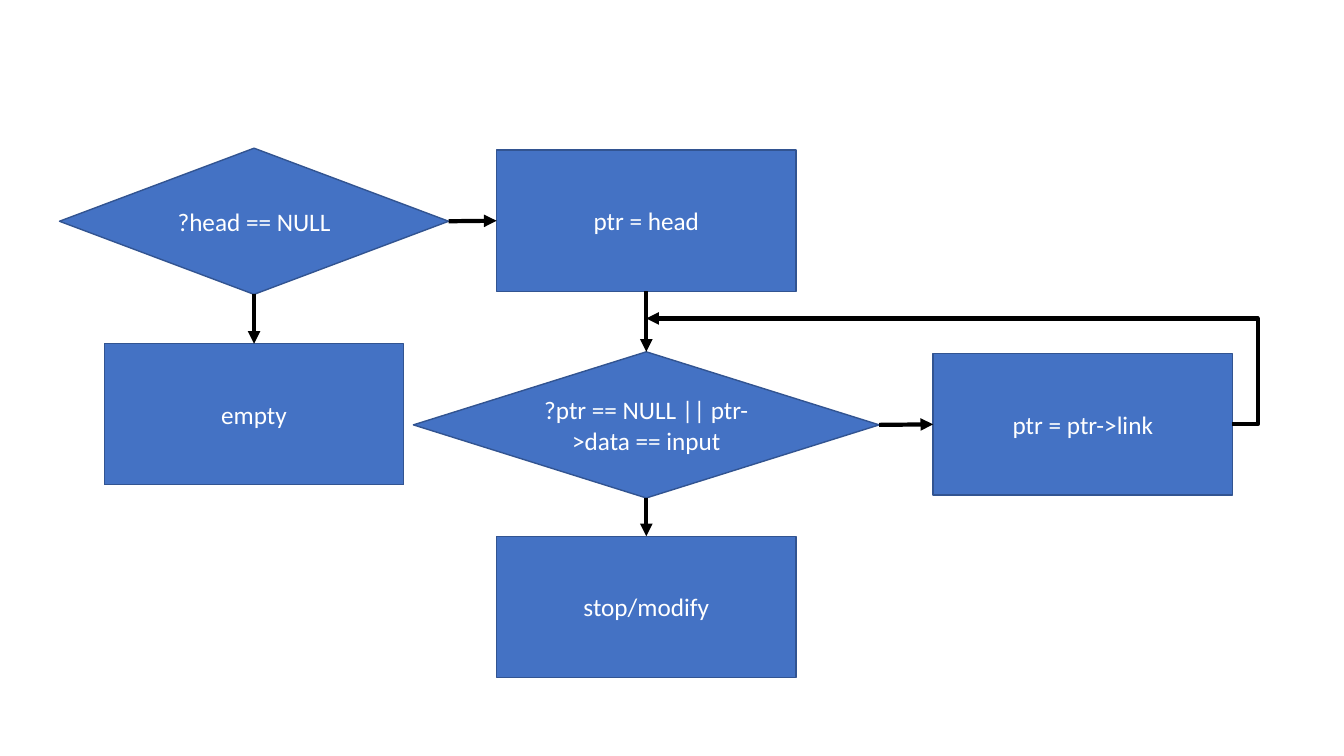
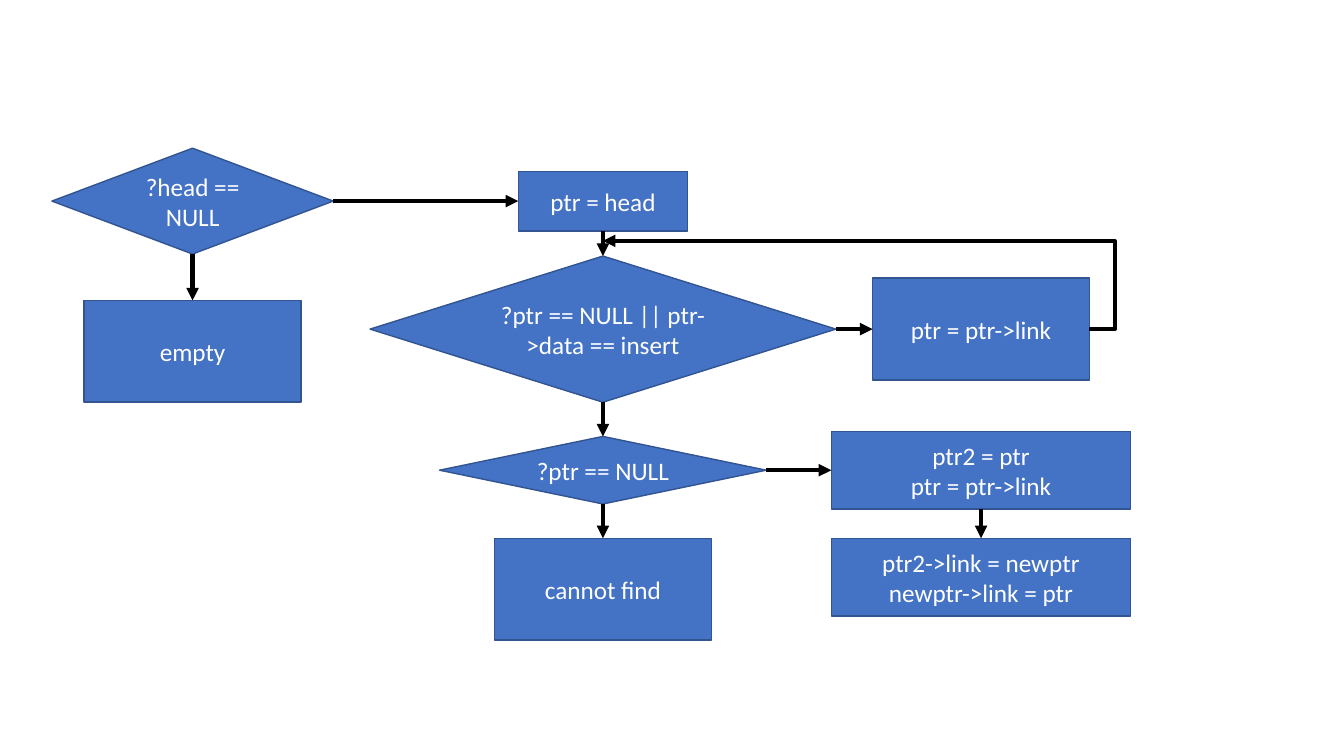
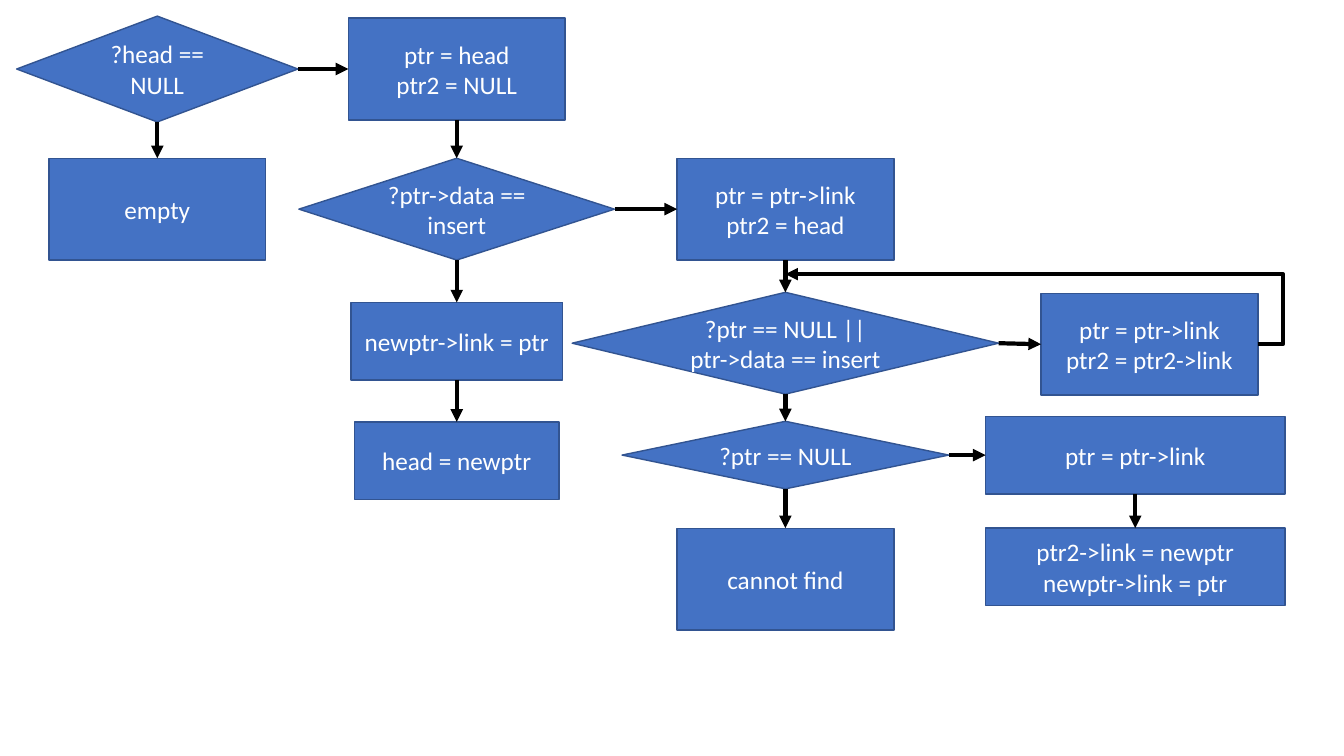
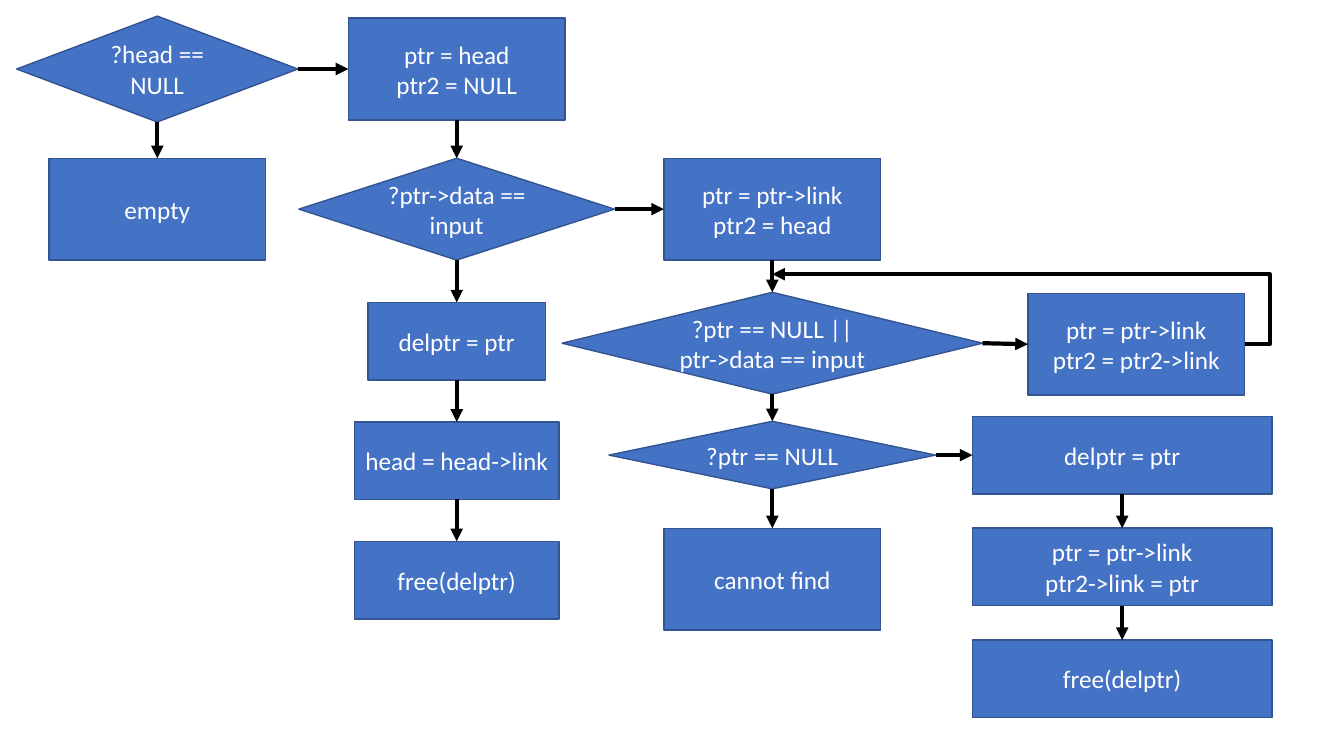
from itertools import pairwise

from lxml.etree import SubElement
from pptx import Presentation
from pptx.dml.color import RGBColor
from pptx.enum.shapes import MSO_CONNECTOR as LINK, MSO_SHAPE as SHAPE
from pptx.enum.text import MSO_ANCHOR as ANCHOR, PP_ALIGN as ALIGN
from pptx.oxml.ns import qn
from pptx.util import Inches, Pt

NODE_FILL = RGBColor(0x44, 0x72, 0xC4)
NODE_LINE = RGBColor(0x32, 0x54, 0x91)
WHITE = RGBColor(0xFF, 0xFF, 0xFF)
BLACK = RGBColor(0x00, 0x00, 0x00)

TOP, LEFT, BOTTOM, RIGHT = range(4)  # connection sites
LOOP_REACH = Inches(0.25)

LARGE = (2.97, 1.4)
MEDIUM = (2.15, 1.01)
FLAT = (2.97, 0.77)
LOW_TEST = (3.24, 0.67)


def new_page(deck):
    return deck.slides.add_slide(deck.slide_layouts[6])


def write(shape, text, size=18, color=WHITE, font="Calibri"):
    """Fill a shape with centred text, one paragraph per line."""
    frame = shape.text_frame
    frame.word_wrap = True
    frame.vertical_anchor = ANCHOR.MIDDLE
    frame.text = text
    for para in frame.paragraphs:
        para.alignment = ALIGN.CENTER
        para.font.name = font
        para.font.size = Pt(size)
        para.font.color.rgb = color


def node(page, text, center, top, size, kind=SHAPE.FLOWCHART_PROCESS):
    """Add a flowchart node placed by its horizontal centre and its top."""
    width, height = size
    shape = page.shapes.add_shape(kind, Inches(center - width / 2), Inches(top),
                                  Inches(width), Inches(height))
    shape.shadow.inherit = False
    shape.fill.solid()
    shape.fill.fore_color.rgb = NODE_FILL
    shape.line.color.rgb = NODE_LINE
    shape.line.width = Pt(1)
    write(shape, text)
    return shape


def decision(page, text, center, top, size):
    return node(page, text, center, top, size, SHAPE.FLOWCHART_DECISION)


def style_arrow(arrow):
    arrow.line.color.rgb = BLACK
    arrow.line.width = Pt(3)
    SubElement(arrow.line._get_or_add_ln(), qn("a:tailEnd"), type="triangle")
    SubElement(arrow._element.spPr, qn("a:effectLst"))


def link(page, start, start_site, end, end_site):
    arrow = page.shapes.add_connector(LINK.STRAIGHT, 0, 0, 0, 0)
    arrow.begin_connect(start, start_site)
    arrow.end_connect(end, end_site)
    style_arrow(arrow)


def link_down(page, *nodes):
    for upper, lower in pairwise(nodes):
        link(page, upper, BOTTOM, lower, TOP)


def link_right(page, start, end):
    link(page, start, RIGHT, end, LEFT)


def loop_back(page, step, center, level):
    """Lead from the right of a step, up and around, to the column at center."""
    start_x = step.left + step.width
    arrow = page.shapes.add_connector(LINK.ELBOW, start_x, step.top + step.height // 2,
                                      Inches(center), Inches(level))
    arrow.begin_connect(step, RIGHT)
    bend = round(-100000 * LOOP_REACH / (start_x - Inches(center)))
    guides = arrow._element.spPr.prstGeom.get_or_add_avLst()
    SubElement(guides, qn("a:gd"), name="adj1", fmla=f"val {bend}")
    style_arrow(arrow)


def head_check(page, center, top, test_size, empty_top, empty_size):
    """Add the test for an empty list and its outcome."""
    test = decision(page, "?head == NULL", center, top, test_size)
    empty = node(page, "empty", center, empty_top, empty_size)
    link_down(page, test, empty)
    return test


def search_page(deck):
    page = new_page(deck)
    column = 6.41
    head_test = head_check(page, 2.52, 1.47, (3.86, 1.45), 3.41, LARGE)
    start = node(page, "ptr = head", column, 1.49, LARGE)
    test = decision(page, "?ptr == NULL || ptr->data == input", column, 3.49, (4.62, 1.45))
    stop = node(page, "stop/modify", column, 5.32, LARGE)
    step = node(page, "ptr = ptr->link", 10.74, 3.51, LARGE)
    link_right(page, head_test, start)
    link_down(page, start, test, stop)
    link_right(page, test, step)
    loop_back(page, step, column, 3.16)


def insert_after_page(deck):
    page = new_page(deck)
    column, action_column = 5.98, 9.73
    head_test = head_check(page, 1.91, 1.47, (2.79, 1.05), 2.98, MEDIUM)
    start = node(page, "ptr = head", column, 1.7, (1.68, 0.59))
    test = decision(page, "?ptr == NULL || ptr->data == insert", column, 2.54, (4.62, 1.45))
    end_test = decision(page, "?ptr == NULL", column, 4.33, LOW_TEST)
    missing = node(page, "cannot find", column, 5.34, MEDIUM)
    step = node(page, "ptr = ptr->link", action_column, 2.76, MEDIUM)
    advance = node(page, "ptr2 = ptr\nptr = ptr->link", action_column, 4.28, FLAT)
    insert = node(page, "ptr2->link = newptr\nnewptr->link = ptr", action_column, 5.34, FLAT)
    link_right(page, head_test, start)
    link_down(page, start, test, end_test, missing)
    link_right(page, test, step)
    loop_back(page, step, column, 2.39)
    link_right(page, end_test, advance)
    link_down(page, advance, insert)


def two_pointer_page(deck, word, column, test_width, head_actions, found_actions):
    """Add a chart that treats the first node apart from the later ones.

    head_actions are (text, width) pairs; found_actions are texts.
    """
    page = new_page(deck)
    head_column, found_column = 4.53, column + 3.47

    head_test = head_check(page, 1.56, 0.16, (2.79, 1.05), 1.57, MEDIUM)
    start = node(page, "ptr = head\nptr2 = NULL", head_column, 0.18, MEDIUM)
    first_test = decision(page, f"?ptr->data == {word}", head_column, 1.57, (3.13, 1.01))
    head_nodes = [node(page, text, head_column, 3 + 1.185 * row, (width, 0.77))
                  for row, (text, width) in enumerate(head_actions)]
    link_right(page, head_test, start)
    link_down(page, start, first_test, *head_nodes)

    advance = node(page, "ptr = ptr->link\nptr2 = head", column, 1.57, MEDIUM)
    test = decision(page, f"?ptr == NULL || ptr->data == {word}", column, 2.9,
                    (test_width, 1.01))
    end_test = decision(page, "?ptr == NULL", column, 4.18, LOW_TEST)
    missing = node(page, "cannot find", column, 5.24, MEDIUM)
    step = node(page, "ptr = ptr->link\nptr2 = ptr2->link", column + 3.61, 2.91, MEDIUM)
    link_right(page, first_test, advance)
    link_down(page, advance, test, end_test, missing)
    link_right(page, test, step)
    loop_back(page, step, column, 2.72)

    found_nodes = [node(page, text, found_column, 4.13 + 1.11 * row, FLAT)
                   for row, text in enumerate(found_actions)]
    link_right(page, end_test, found_nodes[0])
    link_down(page, *found_nodes)


def main():
    deck = Presentation()
    deck.slide_width, deck.slide_height = Inches(13.33), Inches(7.5)
    search_page(deck)
    insert_after_page(deck)
    two_pointer_page(
        deck, "insert", 7.79, 4.23,
        [("newptr->link = ptr", 2.1), ("head = newptr", 2.03)],
        ["ptr = ptr->link", "ptr2->link = newptr\nnewptr->link = ptr"])
    two_pointer_page(
        deck, "input", 7.66, 4.17,
        [("delptr = ptr", 1.76), ("head = head->link", 2.03), ("free(delptr)", 2.03)],
        ["delptr = ptr", "ptr = ptr->link\nptr2->link = ptr", "free(delptr)"])
    deck.save("out.pptx")


if __name__ == "__main__":
    main()
